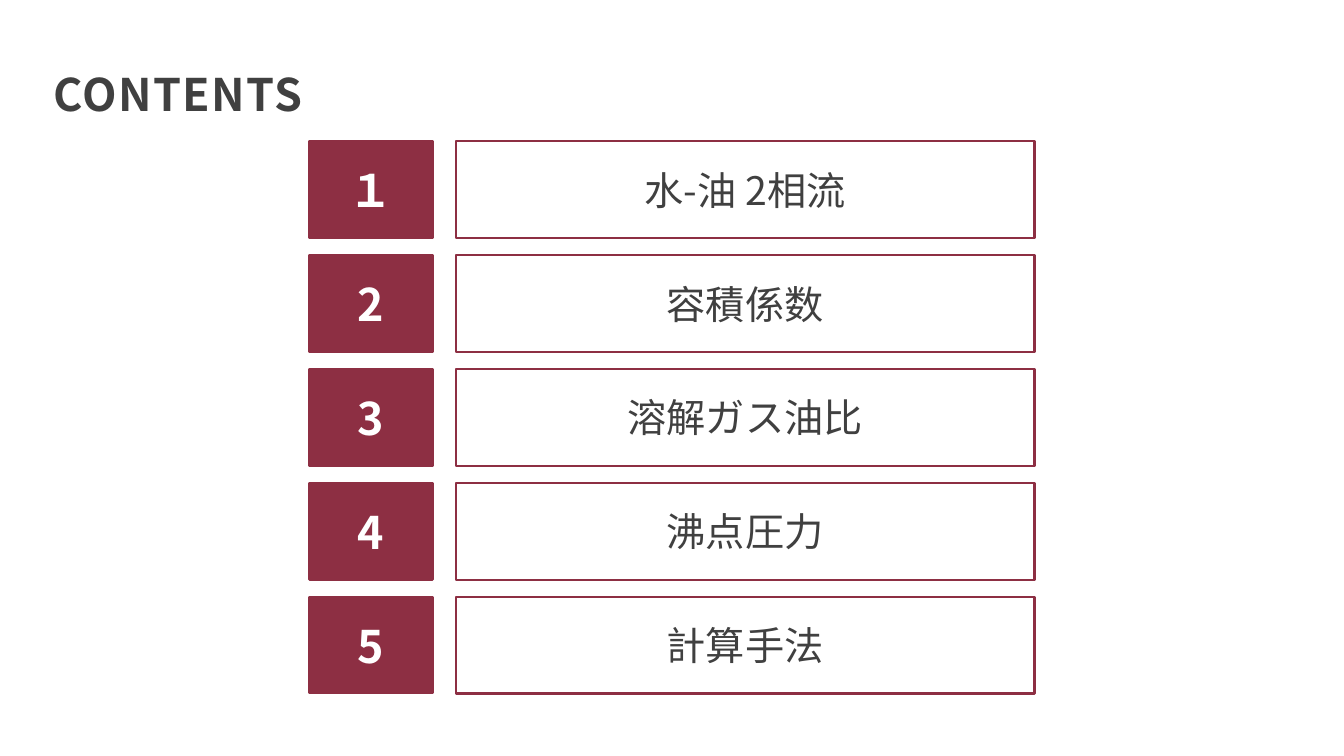
from dataclasses import dataclass

from lxml import etree
from pptx import Presentation
from pptx import util as u
from pptx.dml.color import RGBColor
from pptx.enum import shapes, text
from pptx.oxml import ns

WINE = RGBColor(0x8D, 0x2F, 0x43)
DARK = RGBColor(0x40, 0x40, 0x40)
WHITE = RGBColor(0xFF, 0xFF, 0xFF)
FONT = "Noto Sans CJK JP"

WIDTH, HEIGHT = 13.33, 7.5
FIRST_ROW, ROW_PITCH, ROW_HEIGHT = 1.4, 1.13, 0.96
NUMBER_COL, NUMBER_WIDTH = 3.07, 1.22
TOPIC_COL, TOPIC_WIDTH = 4.52, 5.74


@dataclass(frozen=True)
class Entry:
    number: str
    topic: str


ENTRIES = [
    Entry("１", "水-油 2相流"),
    Entry("2", "容積係数"),
    Entry("3", "溶解ガス油比"),
    Entry("4", "沸点圧力"),
    Entry("5", "計算手法"),
]


def write(sp, content: str, *, size: float, color: RGBColor, bold: bool = False,
          align=text.PP_ALIGN.CENTER, anchor=text.MSO_ANCHOR.MIDDLE,
          line_spacing: float | None = None, tracking: float = 0) -> None:
    tf = sp.text_frame
    tf.word_wrap = True
    tf.vertical_anchor = anchor
    p = tf.paragraphs[0]
    p.alignment = align
    p.line_spacing = line_spacing
    r = p.add_run()
    r.text = content
    r.font.size = u.Pt(size)
    r.font.bold = bold
    r.font.color.rgb = color
    r.font.name = FONT
    rPr = r.font._element if hasattr(r.font, "_element") else r._r.get_or_add_rPr()
    etree.SubElement(rPr, ns.qn("a:ea")).set("typeface", FONT)
    if tracking:
        rPr.set("spc", str(round(tracking * 100)))


def add_box(s, kind, left: float, top: float, width: float, fill: RGBColor | None = None):
    sp = s.shapes.add_shape(kind, u.Inches(left), u.Inches(top),
                            u.Inches(width), u.Inches(ROW_HEIGHT))
    sp.shadow.inherit = False
    if fill is None:
        sp.fill.background()
    else:
        sp.fill.solid()
        sp.fill.fore_color.rgb = fill
    sp.line.color.rgb = WINE
    sp.line.width = u.Pt(1.5)
    return sp


def add_title(s, content: str) -> None:
    sp = s.shapes.add_textbox(u.Inches(0.53), u.Inches(0.7), u.Inches(12.26), u.Inches(0.5))
    tf = sp.text_frame
    tf.margin_left = tf.margin_right = tf.margin_top = tf.margin_bottom = 0
    write(sp, content, size=32, color=DARK, bold=True, align=text.PP_ALIGN.LEFT,
          anchor=text.MSO_ANCHOR.BOTTOM, line_spacing=0.9, tracking=1)


def add_entry(s, row: int, entry: Entry) -> None:
    top = FIRST_ROW + row * ROW_PITCH
    number = add_box(s, shapes.MSO_SHAPE.RECTANGLE, NUMBER_COL, top, NUMBER_WIDTH, WINE)
    write(number, entry.number, size=32, color=WHITE, bold=True)
    topic = add_box(s, shapes.MSO_SHAPE.ROUNDED_RECTANGLE, TOPIC_COL, top, TOPIC_WIDTH)
    topic.adjustments[0] = 0
    write(topic, entry.topic, size=28, color=DARK)


def main() -> None:
    prs = Presentation()
    prs.slide_width, prs.slide_height = u.Inches(WIDTH), u.Inches(HEIGHT)
    s = prs.slides.add_slide(prs.slide_layouts[6])
    add_title(s, "CONTENTS")
    for row, entry in enumerate(ENTRIES):
        add_entry(s, row, entry)
    prs.save("out.pptx")


if __name__ == "__main__":
    main()
